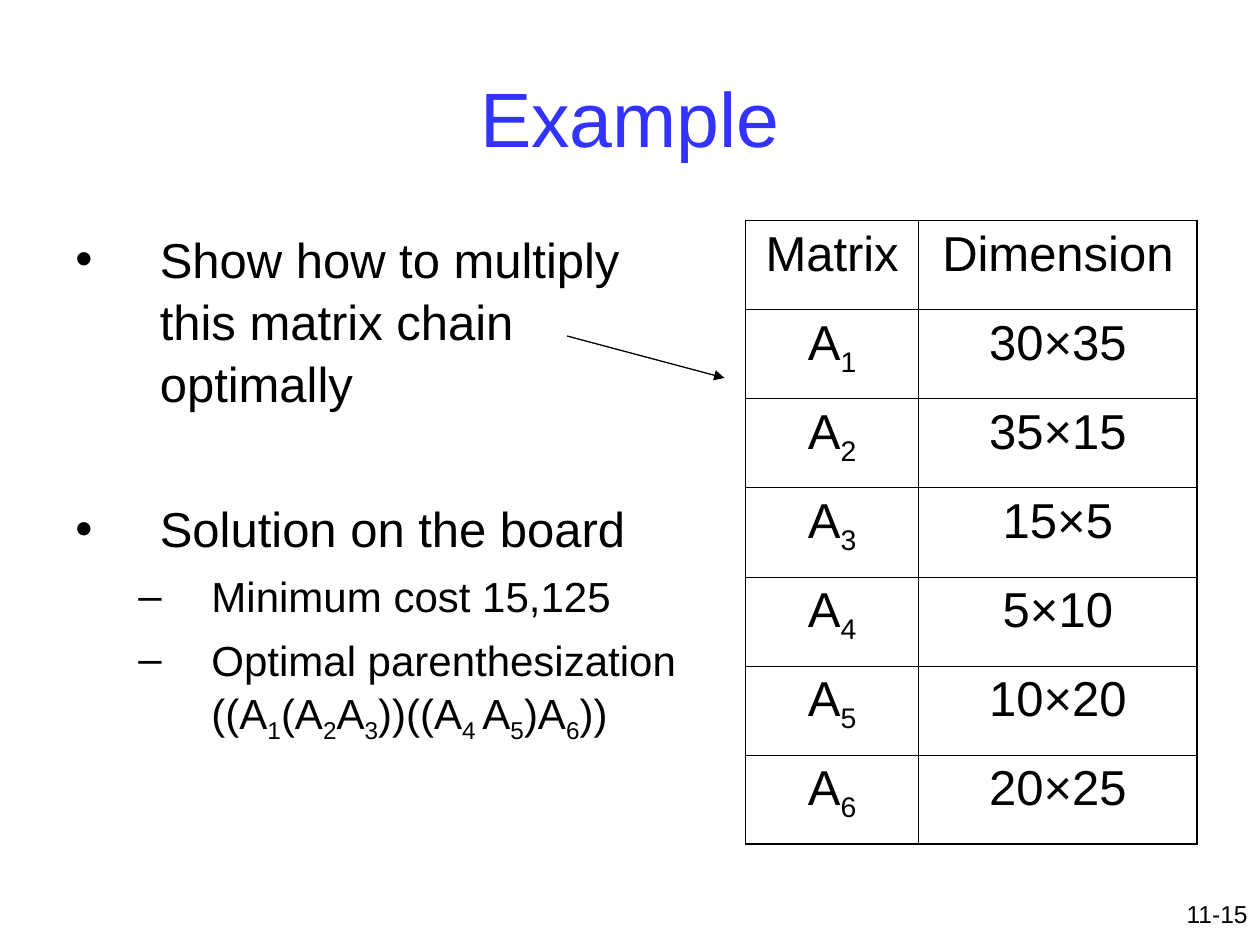
from lxml.etree import SubElement
from pptx import Presentation
from pptx.dml.color import RGBColor
from pptx.enum.shapes import MSO_CONNECTOR
from pptx.enum.text import MSO_ANCHOR, PP_ALIGN
from pptx.oxml.ns import qn
from pptx.util import Inches, Pt

COLORS = {"text": "000000", "title": "3333FF", "line": "000000"}
FONT = "Arial"
THIN, THICK = 0.45, 1.08

presentation = Presentation()
presentation.slide_width = Inches(10)
presentation.slide_height = Inches(7.5)
COLUMN = presentation.slide_width // 120
ROW = presentation.slide_height // 90
slide = presentation.slides.add_slide(presentation.slide_layouts[6])


def write(paragraph, text, size=28, color="text", align=PP_ALIGN.LEFT, bullet=None,
          level=0, margin=0, hanging=0, before=0, spacing=None):
    """Write text into a paragraph; every second part between bars is a subscript."""
    if bullet:
        properties = paragraph._p.get_or_add_pPr()
        properties.set("marL", str(Inches(margin)))
        properties.set("indent", str(-Inches(hanging)))
        SubElement(properties, qn("a:buFont"), typeface=FONT)
        SubElement(properties, qn("a:buChar"), char=bullet)
    paragraph.level = level
    paragraph.alignment = align
    paragraph.space_before = Pt(before)
    if spacing:
        paragraph.line_spacing = spacing
    for index, part in enumerate(text.split("|")):
        run = paragraph.add_run()
        run.text = part
        run.font.name = FONT
        run.font.size = Pt(size)
        run.font.color.rgb = RGBColor.from_string(COLORS[color])
        if index % 2:
            run.font._element.set("baseline", "-25000")


def add_frame(left, top, width, height, anchor=MSO_ANCHOR.TOP):
    """Add a wrapping text box measured in grid columns and rows."""
    shape = slide.shapes.add_textbox(
        int(left * COLUMN), int(top * ROW), int(width * COLUMN), int(height * ROW))
    shape.text_frame.word_wrap = True
    shape.text_frame.vertical_anchor = anchor
    return shape.text_frame


# Slide number and title
number = add_frame(92, 85, 28, 5)
write(number.paragraphs[0], "11-15", size=14, align=PP_ALIGN.RIGHT)
title = add_frame(6, 3.6, 108, 15, MSO_ANCHOR.MIDDLE)
write(title.paragraphs[0], "Example", size=44, color="title", align=PP_ALIGN.CENTER)

# Bulleted text
main = {"bullet": "•", "margin": 0.67, "hanging": 0.67}
detail = {"bullet": "–", "margin": 1.08, "hanging": 0.58, "size": 24, "level": 1, "before": 6}
bullets = [
    ("Show how to multiply this matrix chain optimally", main),
    ("Solution on the board", {**main, "before": 48}),
    ("Minimum cost 15,125", detail),
    ("Optimal parenthesization ((A|1|(A|2|A|3|))((A|4 |A|5|)A|6|))", detail),
]
body = add_frame(6, 21, 62, 59.4)
for index, (text, style) in enumerate(bullets):
    paragraph = body.add_paragraph() if index else body.paragraphs[0]
    write(paragraph, text, spacing=1.05, **style)

# Matrix table
dimensions = ["30×35", "35×15", "15×5", "5×10", "10×20", "20×25"]
records = [("Matrix", "Dimension")]
records += [(f"A|{index}", size) for index, size in enumerate(dimensions, 1)]
last_row, last_column = len(records) - 1, 1
table = slide.shapes.add_table(
    len(records), 2, 71 * COLUMN, 21 * ROW, 43 * COLUMN, int(59.4 * ROW)).table
table.first_row = table.horz_banding = False
for column, width in zip(table.columns, (16.5, 26.5)):
    column.width = int(width * COLUMN)
for row_index, record in enumerate(records):
    for column_index, text in enumerate(record):
        cell = table.cell(row_index, column_index)
        write(cell.text_frame.paragraphs[0], text, align=PP_ALIGN.CENTER)
        # Thick outer borders, thin inner ones
        outer = {
            "a:lnL": column_index == 0,
            "a:lnR": column_index == last_column,
            "a:lnT": row_index == 0,
            "a:lnB": row_index == last_row,
        }
        for tag, is_outer in outer.items():
            border = SubElement(cell._tc.get_or_add_tcPr(), qn(tag),
                                w=str(Pt(THICK if is_outer else THIN)))
            fill = SubElement(border, qn("a:solidFill"))
            SubElement(fill, qn("a:srgbClr"), val=COLORS["line"])
        cell.fill.background()

# Arrow from the text to the table
arrow = slide.shapes.add_connector(
    MSO_CONNECTOR.STRAIGHT, 54 * COLUMN, 32 * ROW, 69 * COLUMN, 36 * ROW)
arrow.line.color.rgb = RGBColor.from_string(COLORS["line"])
arrow.line.width = Pt(0.75)
SubElement(arrow.line._get_or_add_ln(), qn("a:tailEnd"), type="triangle")
SubElement(arrow._element.spPr, qn("a:effectLst"))

presentation.save("out.pptx")
